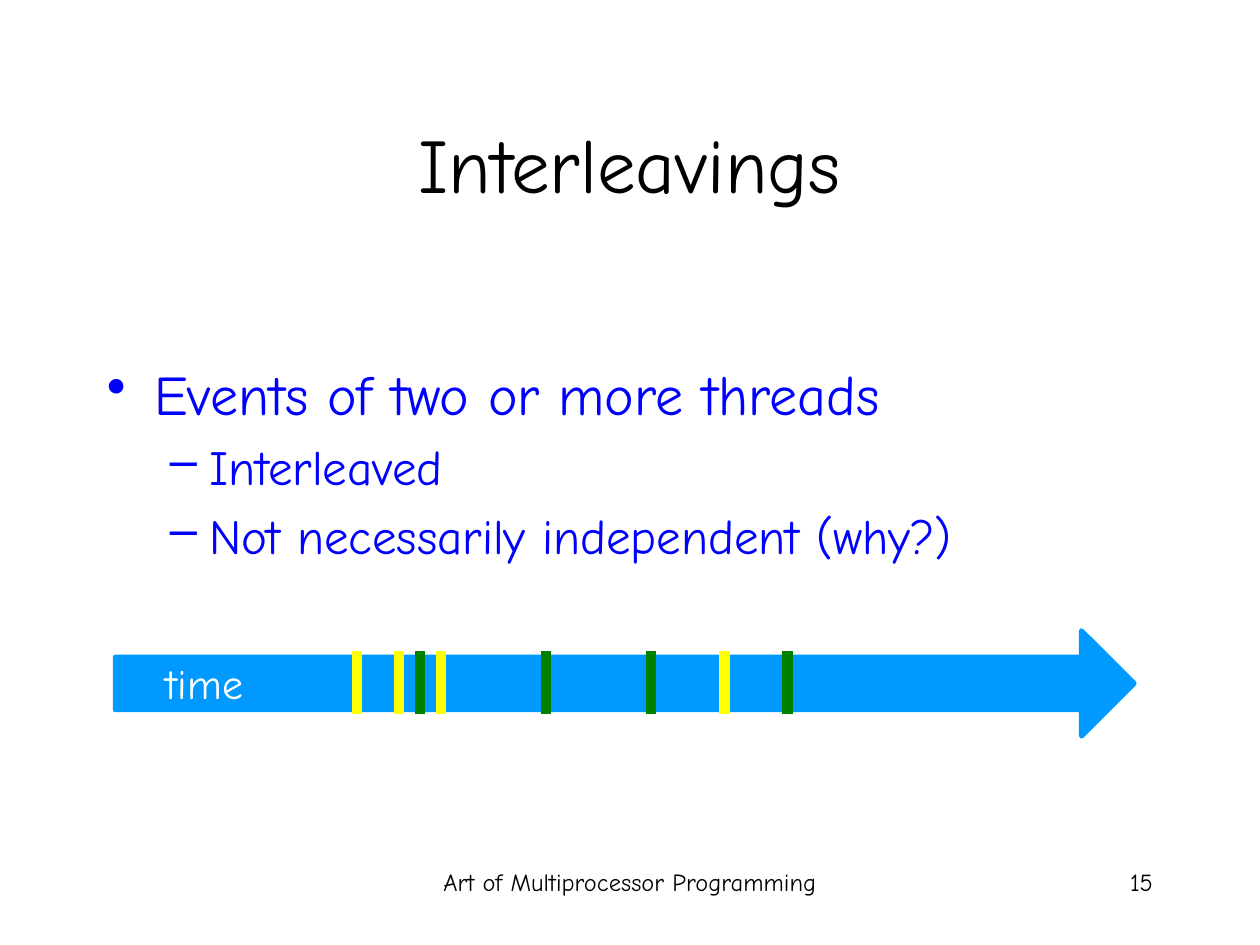
from lxml import etree
from pptx import Presentation
from pptx.dml.color import RGBColor
from pptx.enum import shapes, text
from pptx.oxml import ns
from pptx.util import Pt

FONT = "Comic Neue"
COLORS = {
    "ink": "000000",
    "body": "0000FF",
    "arrow": "0099FF",
    "label": "FFFFFF",
    "yellow": "FFFF00",
    "green": "008000",
}
BULLETS = [
    ("Events of two or more threads", 0),
    ("Interleaved", 1),
    ("Not necessarily independent (why?)", 1),
]
LEVELS = [
    {"bullet": "•", "size": 32, "margin": 27, "indent": -27, "before": 0},
    {"bullet": "–", "size": 28, "margin": 58.5, "indent": -22.5, "before": 5.6},
]
EVENTS = {"yellow": [138, 162, 186, 348], "green": [174, 246, 306, 384]}


def rgb(name):
    """Return the named colour."""
    return RGBColor.from_string(COLORS[name])


def style(para, size, color, align=text.PP_ALIGN.LEFT):
    """Set the font and alignment of a paragraph."""
    para.alignment = align
    para.font.name = FONT
    para.font.size = Pt(size)
    para.font.color.rgb = rgb(color)


def add_box(parent, left, top, width, height):
    """Add an empty wrapping text box and return its frame."""
    box = parent.add_textbox(Pt(left), Pt(top), Pt(width), Pt(height))
    box.text_frame.word_wrap = True
    return box.text_frame


def add_line_of_text(parent, words, box, size, color, align):
    """Add a text box with a single paragraph and return its frame."""
    frame = add_box(parent, *box)
    frame.text = words
    style(frame.paragraphs[0], size, color, align)
    return frame


def add_title(page, left, top, width, height):
    """Add the centred slide title."""
    frame = add_line_of_text(page.shapes, "Interleavings", (left, top, width, height),
                             44, "ink", text.PP_ALIGN.CENTER)
    frame.vertical_anchor = text.MSO_ANCHOR.MIDDLE


def add_bullets(page, left, top, width, height):
    """Add the bulleted statements on two levels."""
    frame = add_box(page.shapes, left, top, width, height)
    for index, (words, depth) in enumerate(BULLETS):
        level = LEVELS[depth]
        para = frame.paragraphs[0] if index == 0 else frame.add_paragraph()
        para.text = words
        para.level = depth
        para.space_before = Pt(level["before"])
        props = para._p.get_or_add_pPr()
        props.set("marL", str(Pt(level["margin"])))
        props.set("indent", str(Pt(level["indent"])))
        etree.SubElement(props, ns.qn("a:buChar"), char=level["bullet"])
        style(para, level["size"], "body")


def add_event(page, x, top, height, color):
    """Add one vertical event mark."""
    mark = page.shapes.add_connector(shapes.MSO_CONNECTOR.STRAIGHT,
                                     Pt(x), Pt(top), Pt(x), Pt(top + height))
    mark.line.color.rgb = rgb(color)
    mark.line.width = Pt(6)
    etree.SubElement(mark._element.spPr, ns.qn("a:effectLst"))


def add_timeline(page, left, top, width, height):
    """Add the time arrow, its label and the events of both threads."""
    group = page.shapes.add_group_shape()
    arrow = group.shapes.add_shape(shapes.MSO_SHAPE.RIGHT_ARROW,
                                   Pt(left), Pt(top), Pt(width), Pt(height))
    arrow.shadow.inherit = False
    arrow.fill.solid()
    arrow.fill.fore_color.rgb = rgb("arrow")
    arrow.line.color.rgb = rgb("arrow")
    arrow.line.width = Pt(3)
    mark_top, mark_height = top + 11.5, 36
    add_line_of_text(group.shapes, "time", (left + 16, mark_top, 64, mark_height),
                     24, "label", text.PP_ALIGN.RIGHT)
    for color, offsets in EVENTS.items():
        for offset in offsets:
            add_event(page, left + offset, mark_top, mark_height, color)


def add_footer(page, left, top, width, height):
    """Add the centred book title and the slide number."""
    add_line_of_text(page.shapes, "Art of Multiprocessor Programming",
                     (left + (width - 228) / 2, top, 228, height),
                     14, "ink", text.PP_ALIGN.CENTER)
    add_line_of_text(page.shapes, "15", (left + width - 150, top, 150, height),
                     14, "ink", text.PP_ALIGN.RIGHT)


def main():
    """Build and save the slide."""
    deck = Presentation()
    deck.slide_width, deck.slide_height = Pt(720), Pt(540)
    page = deck.slides.add_slide(deck.slide_layouts[6])
    add_footer(page, 54, 492, 612, 36)
    add_title(page, 54, 48, 612, 90)
    add_bullets(page, 54, 202, 612, 140)
    add_timeline(page, 66, 360.5, 582, 60)
    deck.save("out.pptx")


if __name__ == "__main__":
    main()
